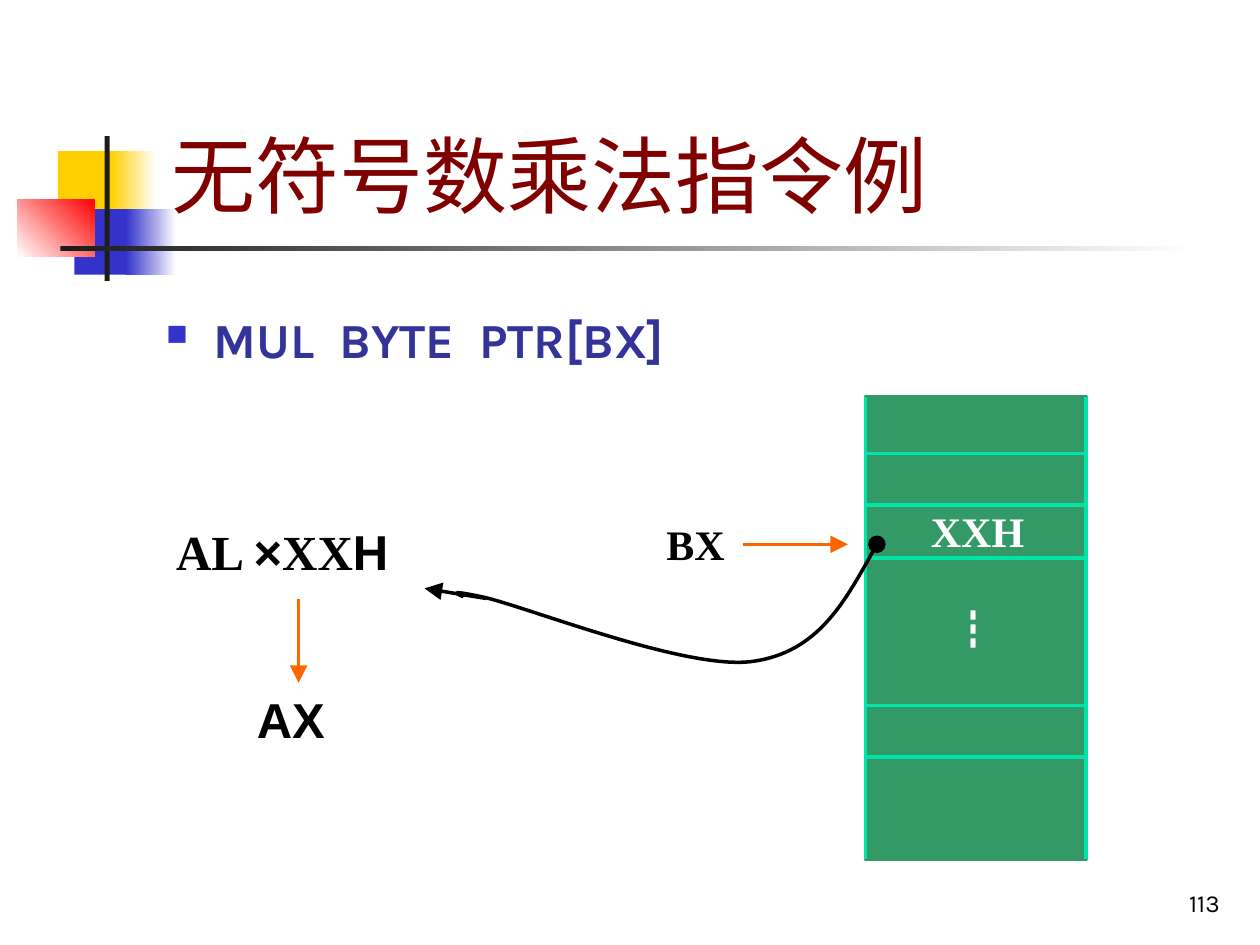
from dataclasses import dataclass

from lxml import etree
from pptx import Presentation
from pptx.dml.color import RGBColor
from pptx.enum.shapes import MSO_CONNECTOR, MSO_SHAPE
from pptx.enum.text import MSO_ANCHOR, PP_ALIGN
from pptx.oxml.ns import qn
from pptx.util import Inches, Pt

RECT = MSO_SHAPE.RECTANGLE
LINE = MSO_CONNECTOR.STRAIGHT
TOP, BOTTOM = MSO_ANCHOR.TOP, MSO_ANCHOR.BOTTOM
LEFT, RIGHT = PP_ALIGN.LEFT, PP_ALIGN.RIGHT


@dataclass(frozen=True)
class Theme:
    gold: str = "FFCF01"
    blue: str = "3333CC"
    red: str = "FF0000"
    dark: str = "1C1C1C"
    white: str = "FFFFFF"
    black: str = "000000"
    maroon: str = "800000"
    navy: str = "333399"
    green: str = "339966"
    mint: str = "00E4A8"
    orange: str = "FF6600"
    sans: str = "Arial"
    body: str = "Karla"
    serif: str = "Times New Roman"
    cjk: str = "Noto Sans CJK SC"
    mark: str = "Wingdings"
    title: int = 48
    large: int = 28
    label: int = 24
    small: int = 14
    stroke: int = 2


def color(code):
    return RGBColor.from_string(code)


def add(parent, tag, **attrs):
    return etree.SubElement(parent, qn(tag), attrs)


class Painter:
    def __init__(self, slide, theme):
        self.slide = slide
        self.shapes = slide.shapes
        self.theme = theme

    def rect(self, box, fill, fade=None, angle=0, line=None):
        shape = self.shapes.add_shape(RECT, *map(Inches, box))
        shape.shadow.inherit = False
        if fade:
            shape.fill.gradient()
            shape.fill.gradient_angle = angle
            for stop, code in zip(shape.fill.gradient_stops, (fill, fade)):
                stop.color.rgb = color(code)
        else:
            shape.fill.solid()
            shape.fill.fore_color.rgb = color(fill)
        if line:
            self.stroke(shape, line)
        else:
            shape.line.fill.background()

    def stroke(self, shape, code, head=None, tail=None):
        shape.line.color.rgb = color(code)
        shape.line.width = Pt(self.theme.stroke)
        ln = shape.line._get_or_add_ln()
        for tag, kind in (("a:headEnd", head), ("a:tailEnd", tail)):
            if kind:
                add(ln, tag, type=kind, w="lg", len="lg")

    def line(self, start, end, code, tail=None):
        link = self.shapes.add_connector(LINE, *map(Inches, start + end))
        self.stroke(link, code, tail=tail)
        add(link._element.spPr, "a:effectLst")

    def curve(self, points, code, head):
        """Draw cubic curves: a start point, then three points per curve."""
        start, *rest = [(Inches(x), Inches(y)) for x, y in points]
        form = self.shapes.build_freeform(*start)
        form.add_line_segments(rest, close=False)
        shape = form.convert_to_shape()
        shape.shadow.inherit = False
        shape.fill.background()
        self.stroke(shape, code, head=head)
        trace = next(shape._element.iter(qn("a:path")))
        steps = trace.findall(qn("a:lnTo"))
        for i in range(0, len(steps), 3):
            bend = add(trace, "a:cubicBezTo")
            for step in steps[i:i + 3]:
                bend.append(step[0])
                trace.remove(step)

    def text(self, box, parts, size, code, bold=True, anchor=TOP,
             align=LEFT, bullet=None):
        """Write one paragraph from (text, font) parts."""
        frame = self.shapes.add_textbox(*map(Inches, box)).text_frame
        frame.word_wrap = True
        frame.vertical_anchor = anchor
        para = frame.paragraphs[0]
        para.alignment = align
        if bullet:
            self.bullet(para, bullet)
        for words, face in parts:
            run = para.add_run()
            run.text = words
            run.font.name = face
            run.font.size = Pt(size)
            run.font.bold = bold
            run.font.color.rgb = color(code)
            add(run._r.get_or_add_rPr(), "a:ea", typeface=self.theme.cjk)

    def bullet(self, para, code):
        para.line_spacing = 1.1
        props = para._p.get_or_add_pPr()
        props.set("marL", str(Inches(0.38)))
        props.set("indent", str(-Inches(0.38)))
        add(add(props, "a:buClr"), "a:srgbClr", val=code)
        add(props, "a:buSzPct", val="60000")
        add(props, "a:buFont", typeface=self.theme.mark, charset="2")
        add(props, "a:buChar", char="n")  # a filled square in this font


def main():
    deck = Presentation()
    deck.slide_width, deck.slide_height = Inches(10), Inches(7.5)
    t = Theme()
    p = Painter(deck.slides.add_slide(deck.slide_layouts[6]), t)

    # Corner ornament and title rule
    p.rect((0.46, 1.2, 0.48, 0.52), t.gold)
    p.rect((0.88, 1.2, 0.36, 0.52), t.gold, t.white)
    p.rect((0.59, 1.66, 0.46, 0.52), t.blue)
    p.rect((1, 1.66, 0.4, 0.52), t.blue, t.white)
    p.rect((0.14, 1.58, 0.61, 0.46), t.white, t.red, 45)
    p.rect((0.83, 1.08, 0.04, 1.15), t.dark)
    p.rect((0.48, 1.95, 9, 0.04), t.dark, t.white)

    # Page number, title and instruction
    p.text((7.7, 6.83, 2.08, 0.5), [("113", t.body)], t.small, t.black,
           bold=False, anchor=BOTTOM, align=RIGHT)
    p.text((1.26, 0.23, 8.52, 1.6), [("无符号数乘法指令例", t.body)],
           t.title, t.maroon, bold=False, anchor=BOTTOM)
    p.text((1.22, 2.36, 5.67, 1.15), [("MUL  BYTE  PTR[BX]", t.body)],
           t.large, t.navy, bullet=t.blue)

    # Memory column with its cell borders
    left, right, top, base = 6.87, 8.62, 3.15, 6.82
    p.rect((left, top, right - left, base - top), t.green, line=t.green)
    for y in (3.6, 4.01, 4.43, 5.6, 6.01):
        p.line((left, y), (right, y), t.mint)
    for x in (left, right):
        p.line((x, top), (x, base), t.mint)
    p.text((7.46, 4.74, 0.67, 0.5), [("┇", t.cjk)], t.label, t.white)
    p.text((7.29, 3.96, 1.17, 0.5), [("XXH", t.serif)], t.label, t.white)

    # Pointer register
    p.text((5.19, 4.07, 0.83, 0.5), [("BX", t.serif)], t.label, t.black)
    p.line((5.9, 4.32), (6.73, 4.32), t.orange, "triangle")

    # Operand path from memory to the product
    p.curve([(6.96, 4.32),
             (6.72, 4.75), (6.49, 5.18), (5.97, 5.25),
             (5.45, 5.32), (4.22, 4.83), (3.84, 4.74),
             (3.46, 4.66), (3.7, 4.74), (3.68, 4.74)], t.black, "oval")
    p.line((3.86, 4.75), (3.37, 4.67), t.black, "triangle")

    # Product and result
    product = [("AL ", t.serif), ("×", t.sans), ("XX", t.serif), ("H", t.sans)]
    p.text((1.3, 4.09, 2.17, 0.57), product, t.large, t.black)
    p.text((1.94, 5.42, 0.83, 0.57), [("AX", t.sans)], t.large, t.black)
    p.line((2.37, 4.75), (2.37, 5.42), t.orange, "triangle")

    deck.save("out.pptx")


if __name__ == "__main__":
    main()
